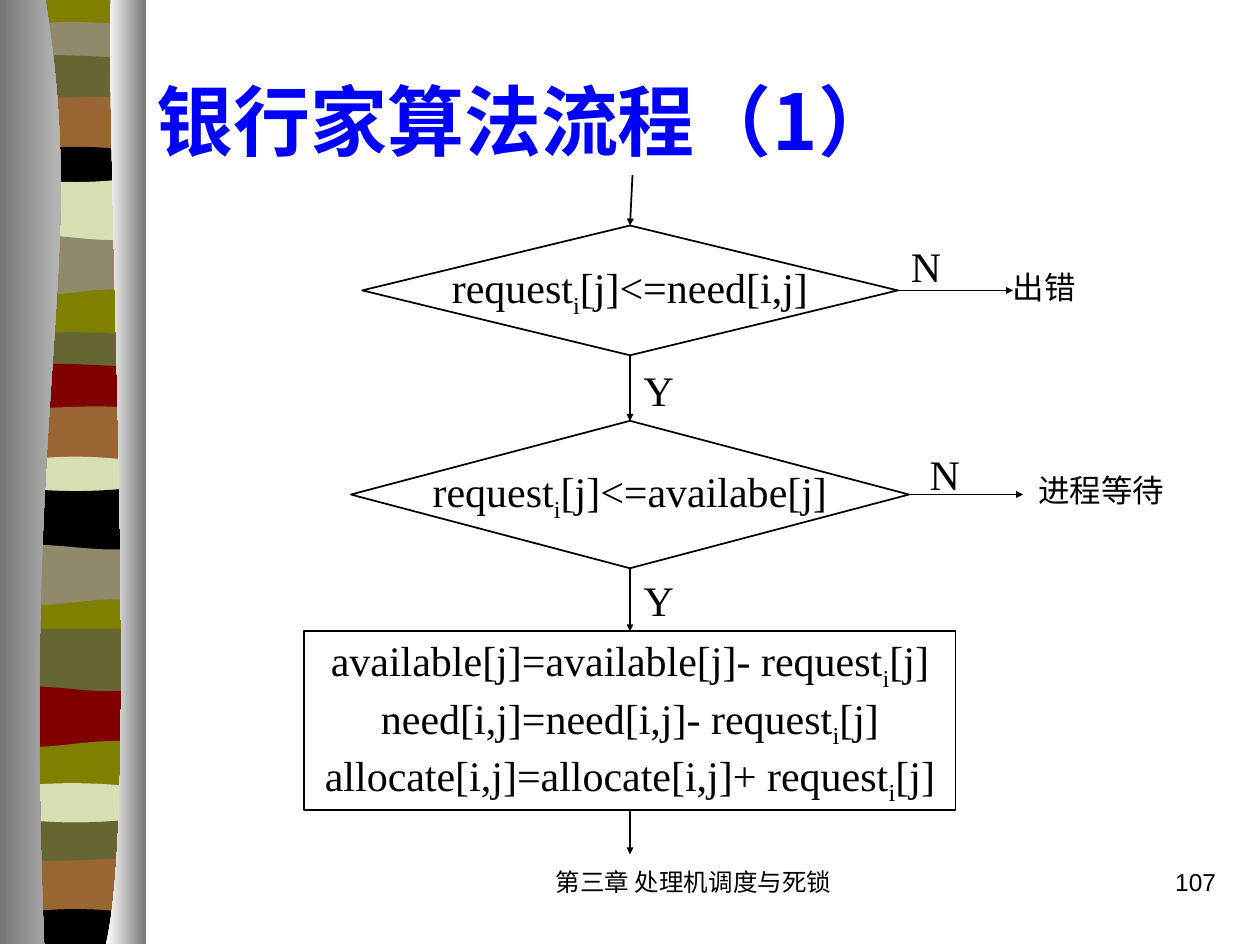
import pptx
import pptx.dml.color
import pptx.enum.shapes
import pptx.enum.text
import pptx.oxml.ns
import pptx.util
from lxml import etree

RGBColor = pptx.dml.color.RGBColor
SHAPE = pptx.enum.shapes.MSO_SHAPE
ALIGN = pptx.enum.text.PP_ALIGN
ANCHOR = pptx.enum.text.MSO_ANCHOR
qn = pptx.oxml.ns.qn

BLACK = RGBColor(0x00, 0x00, 0x00)
WHITE = RGBColor(0xFF, 0xFF, 0xFF)
BLUE = RGBColor(0x00, 0x00, 0xFF)
OLIVE = RGBColor(0x80, 0x80, 0x00)
STONE = RGBColor(0x90, 0x8A, 0x6C)
MOSS = RGBColor(0x66, 0x66, 0x33)
BROWN = RGBColor(0x99, 0x66, 0x33)
CREAM = RGBColor(0xD6, 0xDE, 0xB2)
MAROON = RGBColor(0x80, 0x00, 0x00)
GREY = RGBColor(0x76, 0x76, 0x76)
SILVER = RGBColor(0xD6, 0xD6, 0xD6)

SERIF, SANS, CJK = "Times New Roman", "Arial", "Noto Sans CJK SC"

WIDTH, HEIGHT = pptx.util.Inches(10), pptx.util.Inches(7.5)
COL, ROW = WIDTH / 100, HEIGHT / 75
CENTER = 50
BAND_LEFT, BAND_RIGHT, BOTTOM = 0.6, 11.4, 74.9

BANDS = [
    (OLIVE, (0, 0, 0, 0)),
    (STONE, (2.1, 1.6, 1.7, 2.1)),
    (MOSS, (4.6, 4.1, 4.6, 4.6)),
    (BROWN, (7.7, 7.9, 7.6, 7.7)),
    (BLACK, (12.1, 11.5, 11.5, 12.1)),
    (CREAM, (14, 14.6, 14.6, 14)),
    (STONE, (18.8, 18.2, 19.6, 18.8)),
    (OLIVE, (23.2, 24, 22.4, 23.2)),
    (MOSS, (26.7, 26.2, 26.3, 26.7)),
    (MAROON, (29.1, 28.6, 29.1, 29.1)),
    (BROWN, (32.2, 32.7, 31.8, 32.6)),
    (CREAM, (36.7, 36.1, 36.1, 36.7)),
    (BLACK, (38.6, 39.1, 39.1, 38.6)),
    (STONE, (43.4, 42.8, 44.1, 43.4)),
    (OLIVE, (47.8, 48.6, 47, 47.8)),
    (MOSS, (49.9, 49.9, 49.9, 49.9)),
    (MAROON, (54.6, 54.1, 55.4, 54.6)),
    (OLIVE, (59.1, 59.8, 58.2, 59.1)),
    (CREAM, (62.5, 62, 62.1, 62.5)),
    (MOSS, (64.9, 65.4, 65.4, 64.9)),
    (BROWN, (68.1, 68.6, 68.1, 68.1)),
    (BLACK, (72.6, 72, 72, 72.6)),
]


def grid(x, y):
    return round(x * COL), round(y * ROW)


def box(x, y, w, h):
    return grid(x, y) + grid(w, h)


def add_outline(s, curve, corners):
    points = [grid(*point) for point in curve + corners]
    builder = s.shapes.build_freeform(*points[0])
    builder.add_line_segments(points[1:], close=True)
    sp = builder.convert_to_shape()
    sp.shadow.inherit = False
    sp.line.fill.background()
    segments = list(sp._element.iter(qn("a:lnTo")))[:3]
    bezier = etree.Element(qn("a:cubicBezTo"))
    segments[0].addprevious(bezier)
    for segment in segments:
        bezier.append(segment[0])
        segment.getparent().remove(segment)
    return sp


def add_bands(s):
    step = (BAND_RIGHT - BAND_LEFT) / 3
    floors = [max(heights) for _, heights in BANDS[1:]] + [BOTTOM]
    for (color, heights), floor in zip(BANDS, floors):
        edge = [(BAND_LEFT + i * step, y) for i, y in enumerate(heights)]
        sp = add_outline(s, edge, [(BAND_RIGHT, floor), (BAND_LEFT, floor)])
        sp.fill.solid()
        sp.fill.fore_color.rgb = color


def add_pillar(s, outer, inner, start, end):
    sp = add_outline(s, inner, [(outer, BOTTOM), (outer, 0)])
    sp.fill.gradient()
    sp.fill.gradient_angle = 0
    for stop, color in zip(sp.fill.gradient_stops, (start, end)):
        stop.color.rgb = color


def format_run(r, size, font, color=BLACK, bold=False):
    r.font.size = pptx.util.Pt(size)
    r.font.name = font
    r.font.bold = bold
    r.font.color.rgb = color
    ea = etree.SubElement(r._r.get_or_add_rPr(), qn("a:ea"))
    ea.set("typeface", CJK)


def add_label(s, text, area, size=24, font=SERIF, align=ALIGN.LEFT,
              anchor=ANCHOR.TOP, color=BLACK, bold=False):
    tf = s.shapes.add_textbox(*box(*area)).text_frame
    tf.word_wrap = True
    tf.vertical_anchor = anchor
    tf.text = text
    p = tf.paragraphs[0]
    p.alignment = align
    format_run(p.runs[0], size, font, color, bold)


def add_formula(p, text):
    p.alignment = ALIGN.CENTER
    head, tail = text.split("_i")
    for part in (head, "i", tail):
        r = p.add_run()
        r.text = part
        format_run(r, 24, SERIF)
        if part == "i":
            r._r.get_or_add_rPr().set("baseline", "-25000")


def add_step(s, kind, top, width, height, formulas):
    area = box(CENTER - width / 2, top, width, height)
    sp = s.shapes.add_shape(kind, *area)
    sp.shadow.inherit = False
    sp.fill.background()
    sp.line.color.rgb = BLACK
    sp.line.width = pptx.util.Pt(1)
    tf = sp.text_frame
    tf.word_wrap = False
    tf.vertical_anchor = ANCHOR.MIDDLE
    for i, formula in enumerate(formulas):
        p = tf.add_paragraph() if i else tf.paragraphs[0]
        add_formula(p, formula)
    return sp


def add_arrow(s, start, end, source=None, side=2, target=None):
    line = s.shapes.add_connector(
        pptx.enum.shapes.MSO_CONNECTOR.STRAIGHT, *grid(*start), *grid(*end))
    line.line.color.rgb = BLACK
    line.line.width = pptx.util.Pt(1)
    tail = etree.SubElement(line.line._get_or_add_ln(), qn("a:tailEnd"))
    for key, value in (("type", "triangle"), ("w", "sm"), ("len", "sm")):
        tail.set(key, value)
    etree.SubElement(line._element.spPr, qn("a:effectLst"))
    if source:
        line.begin_connect(source, side)
    if target:
        line.end_connect(target, 0)


def main():
    prs = pptx.Presentation()
    prs.slide_width, prs.slide_height = WIDTH, HEIGHT
    s = prs.slides.add_slide(prs.slide_layouts[6])

    add_bands(s)
    add_pillar(s, 0, [(3.6, 0), (7.1, 21.6), (1.7, 29.6), (3.5, BOTTOM)],
               GREY, SILVER)
    add_pillar(s, 11.6, [(8.8, 0), (8.4, 12.5), (11.1, 64.6), (8.4, BOTTOM)],
               WHITE, GREY)

    need = add_step(s, SHAPE.FLOWCHART_DECISION, 17.9, 42.5, 10.3,
                    ["request_i[j]<=need[i,j]"])
    available = add_step(s, SHAPE.FLOWCHART_DECISION, 33.4, 44.3, 11.7,
                         ["request_i[j]<=availabe[j]"])
    allocate = add_step(s, SHAPE.RECTANGLE, 50.1, 51.7, 14.2, [
        "available[j]=available[j]- request_i[j]",
        "need[i,j]=need[i,j]- request_i[j]",
        "allocate[i,j]=allocate[i,j]+ request_i[j]"])

    add_arrow(s, (50.2, 13.9), (CENTER, 17.9), target=need)
    add_arrow(s, (CENTER, 28.2), (CENTER, 33.4), need, target=available)
    add_arrow(s, (CENTER, 45.1), (CENTER, 50.1), available, target=allocate)
    add_arrow(s, (CENTER, 64.3), (CENTER, 67.8), allocate)
    add_arrow(s, (71.25, 23.05), (80.4, 23.05), need, side=3)
    add_arrow(s, (72.15, 39.25), (81.2, 39.25), available, side=3)

    add_label(s, "银行家算法流程（1）", (11.4, 5.2, 76.5, 8.6), 44, CJK,
              anchor=ANCHOR.MIDDLE, color=BLUE, bold=True)
    for text, x, y in (("Y", 50.1, 28.4), ("Y", 50.1, 45.1),
                       ("N", 71.3, 18.6), ("N", 72.8, 35.1)):
        add_label(s, text, (x, y, 7.5, 5))
    add_label(s, "出错", (79.4, 20.8, 8.3, 4), 18)
    add_label(s, "进程等待", (81.4, 36.9, 12.5, 4), 18)

    add_label(s, "第三章 处理机调度与死锁", (39.2, 68.3, 31.7, 5), 14, SANS,
              ALIGN.CENTER)
    add_label(s, "107", (76.7, 68.3, 20.8, 5), 14, SANS, ALIGN.RIGHT)

    prs.save("out.pptx")


if __name__ == "__main__":
    main()
